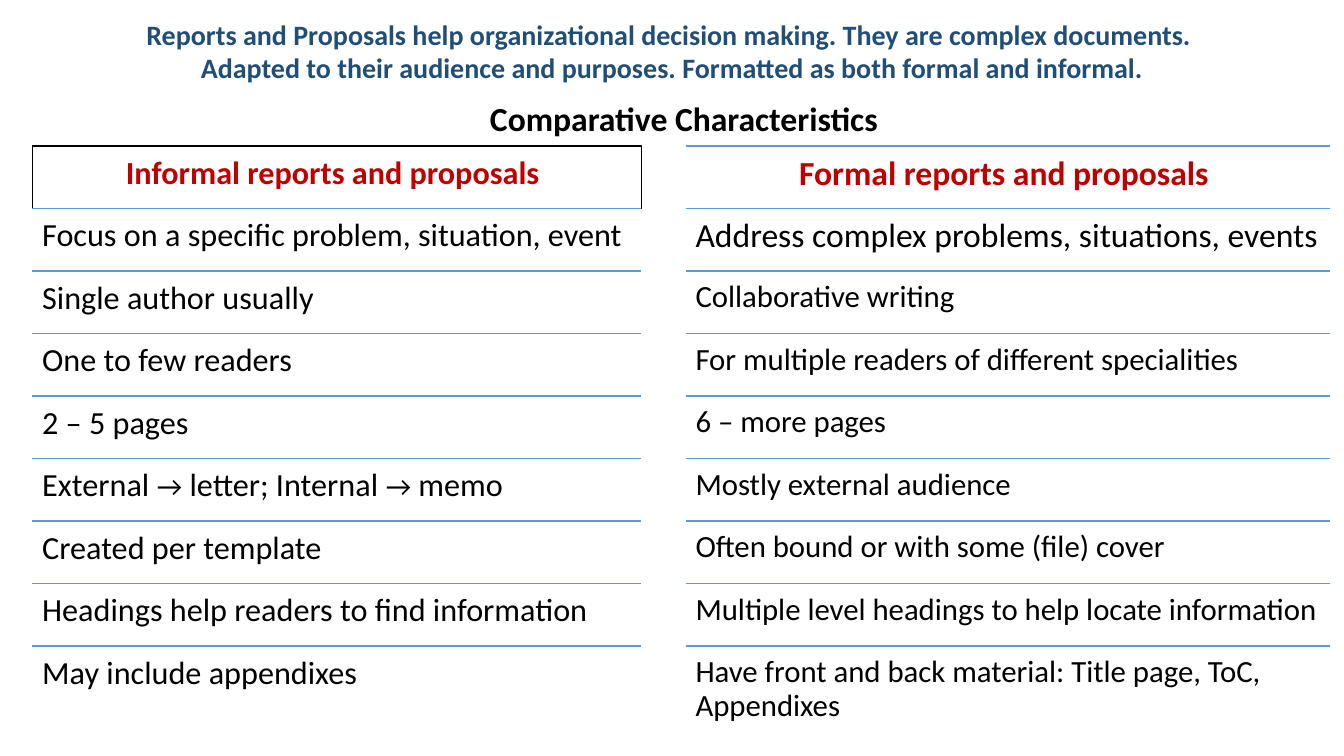
from lxml import etree
from pptx import Presentation, util as u
from pptx.dml.color import RGBColor
from pptx.enum import shapes, text
from pptx.oxml import ns

presentation = Presentation()
presentation.slide_width, presentation.slide_height = u.Inches(13.33), u.Inches(7.5)
slide = presentation.slides.add_slide(presentation.slide_layouts[5])

ROW_TOP, ROW_HEIGHT = 1.45, 0.62
LEFT, CENTER = text.PP_ALIGN.LEFT, text.PP_ALIGN.CENTER


def color(hex_string):
    return RGBColor.from_string(hex_string)


def write(shape, lines, size, ink="000000", bold=False, align=LEFT,
          spacing=1.0, inset=(0.1, 0.05), arrow_size=None):
    frame = shape.text_frame
    frame.word_wrap = True
    frame.auto_size = text.MSO_AUTO_SIZE.NONE
    frame.vertical_anchor = text.MSO_ANCHOR.TOP
    frame.margin_left = frame.margin_right = u.Inches(inset[0])
    frame.margin_top = frame.margin_bottom = u.Inches(inset[1])
    for index, line in enumerate(lines):
        paragraph = frame.paragraphs[0] if index == 0 else frame.add_paragraph()
        paragraph.alignment, paragraph.line_spacing = align, spacing
        # Arrows become runs of their own so they can take a smaller size
        for piece in line.replace("→", "|→|").split("|"):
            run = paragraph.add_run()
            run.text = piece
            run.font.name, run.font.bold = "Calibri", bold
            run.font.size = u.Pt(arrow_size if piece == "→" else size)
            run.font.color.rgb = color(ink)


# Introduction
introduction = slide.shapes.add_textbox(0, u.Inches(0.12), presentation.slide_width, u.Inches(0.77))
write(introduction, [
    "Reports and Proposals help organizational decision making. They are complex documents. ",
    "Adapted to their audience and purposes. Formatted as both formal and informal.",
], 20, ink="1F4E79", bold=True, align=CENTER)

# Title
title = slide.shapes.title
title.left, title.top, title.width, title.height = map(u.Inches, (4.76, 0.92, 4.35, 0.5))
write(title, ["Comparative Characteristics"], 24, bold=True)

# Columns: left, width, size of the first two rows, size of the rest, boxed header, rows
columns = [
    (0.32, 6.04, 23, 23, True, [
        "Informal reports and proposals ",
        "Focus on a specific problem, situation, event",
        "Single author usually",
        "One to few readers",
        "2 – 5 pages",
        "External → letter; Internal → memo",
        "Created per template",
        "Headings help readers to find information",
        "May include appendixes",
    ]),
    (6.8, 6.39, 24, 22, False, [
        "Formal reports and proposals ",
        "Address complex problems, situations, events",
        "Collaborative writing",
        "For multiple readers of different specialities",
        "6 – more pages",
        "Mostly external audience",
        "Often bound or with some (file) cover",
        "Multiple level headings to help locate information",
        "Have front and back material: Title page, ToC, Appendixes",
    ]),
]

for left, width, top_size, size, boxed, rows in columns:
    for index, row in enumerate(rows):
        is_header = index == 0
        top = ROW_TOP + index * ROW_HEIGHT
        area = [u.Inches(value) for value in (left, top, width, ROW_HEIGHT)]

        # Rule above the row
        rule = slide.shapes.add_connector(
            shapes.MSO_CONNECTOR.STRAIGHT, area[0], area[1], area[0] + area[2], area[1])
        rule.line.color.rgb, rule.line.width = color("5B9BD5"), u.Pt(1)
        etree.SubElement(rule._element.spPr, ns.qn("a:effectLst"))

        # Row text, with a frame around a boxed header
        if is_header and boxed:
            cell = slide.shapes.add_shape(shapes.MSO_SHAPE.RECTANGLE, *area)
            cell.shadow.inherit = False
            cell.fill.solid()
            cell.fill.fore_color.rgb = color("FFFFFF")
            cell.line.color.rgb, cell.line.width = color("000000"), u.Pt(1)
        else:
            cell = slide.shapes.add_textbox(*area)
        write(cell, [row], top_size if index < 2 else size,
              ink="C00000" if is_header else "000000", bold=is_header,
              align=CENTER if is_header else LEFT,
              spacing=0.9, inset=(0.1, 0.1), arrow_size=20)

presentation.save("out.pptx")
